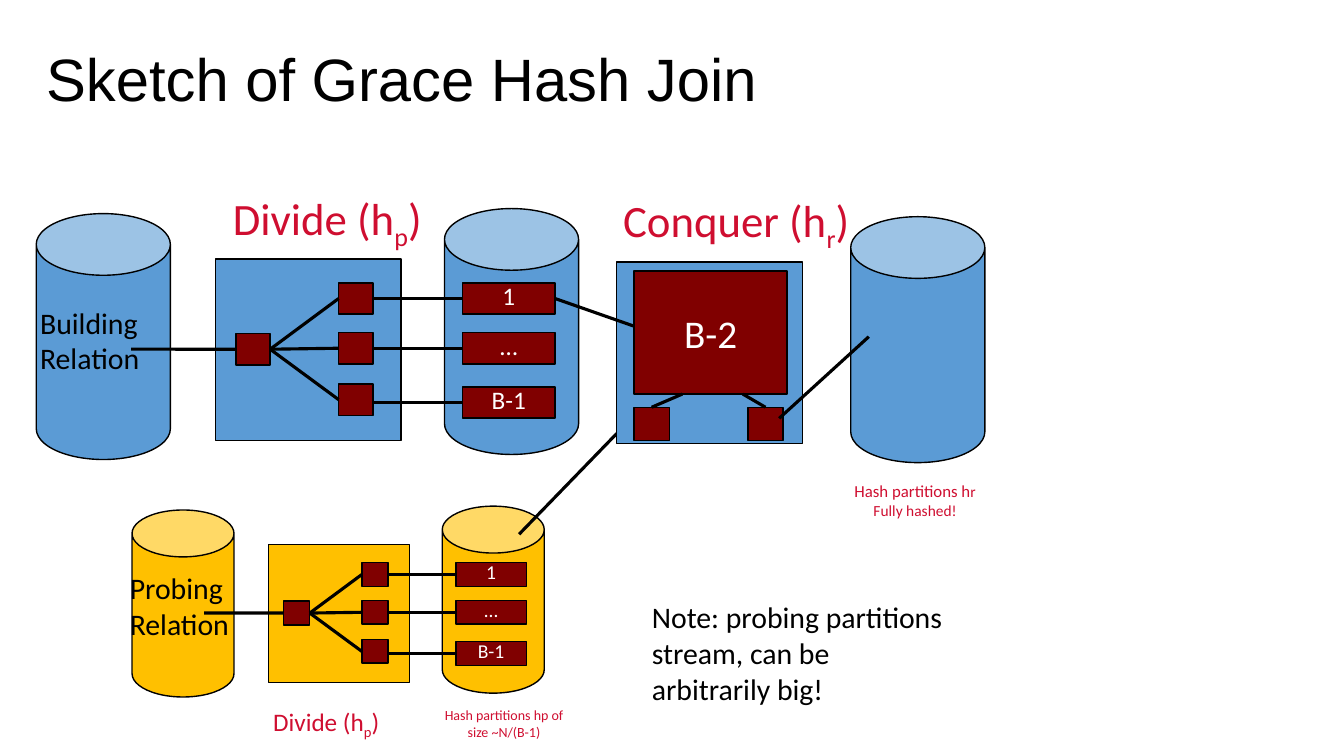
from dataclasses import dataclass
from typing import Any

from lxml import etree
from pptx import Presentation
from pptx import util as u
from pptx.dml.color import RGBColor
from pptx.enum import shapes as kinds, text as modes
from pptx.oxml.ns import qn


@dataclass(frozen=True)
class Theme:
    ink: str = "000000"
    paper: str = "FFFFFF"
    red: str = "CF0E30"
    brick: str = "800000"
    blue: str = "5B9BD5"
    gold: str = "FFC000"
    sans: str = "Calibri"
    head: str = "Arial"
    title: float = 42.7
    phase: float = 32
    block: float = 28
    body: float = 21.3
    mid: float = 18
    small: float = 14
    note: float = 12
    fine: float = 11
    tiny: float = 10


@dataclass(frozen=True)
class Box:
    x: float
    y: float
    w: float
    h: float


@dataclass(frozen=True)
class Run:
    text: str
    size: float
    sub: bool = False


@dataclass(frozen=True)
class Label:
    box: Box
    lines: list[list[Run]]
    color: str
    font: str = Theme.sans
    wrap: bool = False
    pad: float = 3.6
    align: Any = modes.PP_ALIGN.LEFT
    space: float = 1.0


@dataclass(frozen=True)
class Stage:
    x: float
    y: float
    scale: float
    color: str
    size: float

    def place(self, x: float, y: float, w: float = 0, h: float = 0) -> Box:
        s = self.scale
        return Box(self.x + x * s, self.y + y * s, w * s, h * s)


T = Theme()
RECT, CAN = kinds.MSO_SHAPE.RECTANGLE, kinds.MSO_SHAPE.CAN
TOP, LEFT, RIGHT = 0, 1, 3
MID = modes.PP_ALIGN.CENTER
DISK = (95.8, 175.7)
SLOT = (24.5, 22.3)
BAR = (66.2, 22.3)

deck = Presentation()
deck.slide_width, deck.slide_height = u.Pt(960), u.Pt(540)
slide = deck.slides.add_slide(deck.slide_layouts[6])


def apply(target: Any, values: dict[str, Any]) -> None:
    for name, value in values.items():
        setattr(target, name, value)


def span(box: Box) -> list[int]:
    return [u.Pt(v) for v in (box.x, box.y, box.w, box.h)]


def style(run: Any, size: float, color: str, font: str = T.sans) -> None:
    apply(run.font, {"size": u.Pt(size), "name": font})
    run.font.color.rgb = RGBColor.from_string(color)


def draw(kind: Any, box: Box, color: str, text: str = "", size: float = 0, lift: float = 0) -> Any:
    shape = slide.shapes.add_shape(kind, *span(box))
    shape.shadow.inherit = False
    shape.fill.solid()
    shape.fill.fore_color.rgb = RGBColor.from_string(color)
    shape.line.color.rgb = RGBColor.from_string(T.ink)
    shape.line.width = u.Pt(1)
    if text:
        apply(shape.text_frame, {
            "margin_left": 0, "margin_right": 0, "margin_top": 0,
            "margin_bottom": u.Pt(lift), "word_wrap": False,
            "vertical_anchor": modes.MSO_ANCHOR.MIDDLE,
        })
        para = shape.text_frame.paragraphs[0]
        para.alignment = MID
        run = para.add_run()
        run.text = text
        style(run, size, T.paper)
    return shape


def disk(box: Box, color: str) -> None:
    draw(CAN, box, color).adjustments[0] = 0.46


def link(start: Any, end: Any, exit: int = RIGHT, entry: int = LEFT) -> None:
    spots = [(u.Pt(p.x), u.Pt(p.y)) if isinstance(p, Box) else (0, 0) for p in (start, end)]
    line = slide.shapes.add_connector(kinds.MSO_CONNECTOR.STRAIGHT, *spots[0], *spots[1])
    if not isinstance(start, Box):
        line.begin_connect(start, exit)
    if not isinstance(end, Box):
        line.end_connect(end, entry)
    line.line.color.rgb = RGBColor.from_string(T.ink)
    line.line.width = u.Pt(2.25)
    etree.SubElement(line._element.spPr, qn("a:effectLst"))


def write(label: Label) -> None:
    frame = slide.shapes.add_textbox(*span(label.box)).text_frame
    side = u.Pt(label.pad)
    apply(frame, {
        "word_wrap": label.wrap, "margin_left": side, "margin_right": side,
        "margin_top": u.Pt(3.6), "margin_bottom": u.Pt(3.6),
    })
    for i, line in enumerate(label.lines):
        para = frame.add_paragraph() if i else frame.paragraphs[0]
        apply(para, {"alignment": label.align, "line_spacing": label.space})
        for part in line:
            for j, piece in enumerate(part.text.split("\n")):
                if j:
                    para.add_line_break()
                run = para.add_run()
                run.text = piece
                style(run, part.size, label.color, label.font)
                if part.sub:
                    run._r.get_or_add_rPr().set("baseline", "-25000")


def phase(box: Box, word: str, sub: str, size: float) -> None:
    runs = [Run(f"{word} (h", size), Run(sub, size, True), Run(")", size)]
    write(Label(box, [runs], T.red))


def body(box: Box, text: str) -> None:
    write(Label(box, [[Run(text, T.body)]], T.ink, wrap=True, pad=7.2))


def divide(stage: Stage) -> list[Any]:
    for x, y in ((0, 0), (291.6, -3.6)):
        disk(stage.place(x, y, *DISK), stage.color)
    draw(RECT, stage.place(128.2, 32.4, 132.5, 129.6), stage.color)
    hub = draw(RECT, stage.place(142.6, 85.7, *SLOT), T.brick)
    link(stage.place(67.7, 96.8), hub)
    bars = []
    for text, row, drop in (("1", 49.5, 0), ("…", 85, 0), ("B-1", 121.7, 2.1)):
        slot = draw(RECT, stage.place(216, row, *SLOT), T.brick)
        bar = draw(RECT, stage.place(304.4, row + drop, *BAR), T.brick, text, stage.size, 4)
        link(hub, slot)
        edge = stage.place(216 + SLOT[0], row + drop + SLOT[1] / 2)
        link(edge if drop else slot, bar)
        bars.append(bar)
    return bars


def main() -> None:
    divide(Stage(94.3, 364.3, 0.76, T.gold, T.small))
    phase(Box(191.5, 501.1, 85, 28.8), "Divide", "p", T.mid)
    write(Label(Box(312.5, 501.1, 95, 31.7),
                [[Run("Hash partitions hp of\nsize ~N/(B-1)", T.tiny)]], T.red, align=MID))
    write(Label(Box(25.9, 32.4, 789.8, 120.2), [[Run("Sketch of Grace Hash Join", T.title)]],
                T.ink, T.head, True, 7.2, space=0.9))
    link(Box(370.8, 381.6, 0, 0), Box(440.6, 309.6, 0, 0))

    bars = divide(Stage(25.9, 152.6, 1, T.blue, T.mid))
    disk(Box(607.7, 154.8, *DISK), T.blue)
    draw(RECT, Box(440.6, 187.2, 132.5, 129.6), T.blue)
    link(bars[0], Box(455.8, 234, 0, 0))
    draw(RECT, Box(452.9, 193.7, 109.4, 87.8), T.brick, "B-2", T.block)
    for x, tip in ((452.9, 487.4), (534.2, 530.6)):
        slot = draw(RECT, Box(x, 290.9, 25.2, 23.8), T.brick)
        link(slot, Box(tip, 281.5, 0, 0), TOP)
    link(Box(620.6, 240.5, 0, 0), Box(556.6, 298.8, 0, 0))

    phase(Box(441.4, 133.9, 171.4, 46.1), "Conquer", "r", T.phase)
    phase(Box(162.7, 132.5, 145.4, 46.1), "Divide", "p", T.phase)
    write(Label(Box(606.2, 339.8, 95, 35.3),
                [[Run("Hash partitions h", T.note), Run("r", T.fine)],
                 [Run("Fully hashed!", T.fine)]], T.red, align=MID))
    body(Box(21.6, 213.8, 103.7, 59), "Building Relation")
    body(Box(85.7, 403.2, 103.7, 59), "Probing Relation")
    body(Box(458.6, 424.1, 229.7, 85), "Note: probing partitions stream, can be arbitrarily big!")
    deck.save("out.pptx")


if __name__ == "__main__":
    main()
